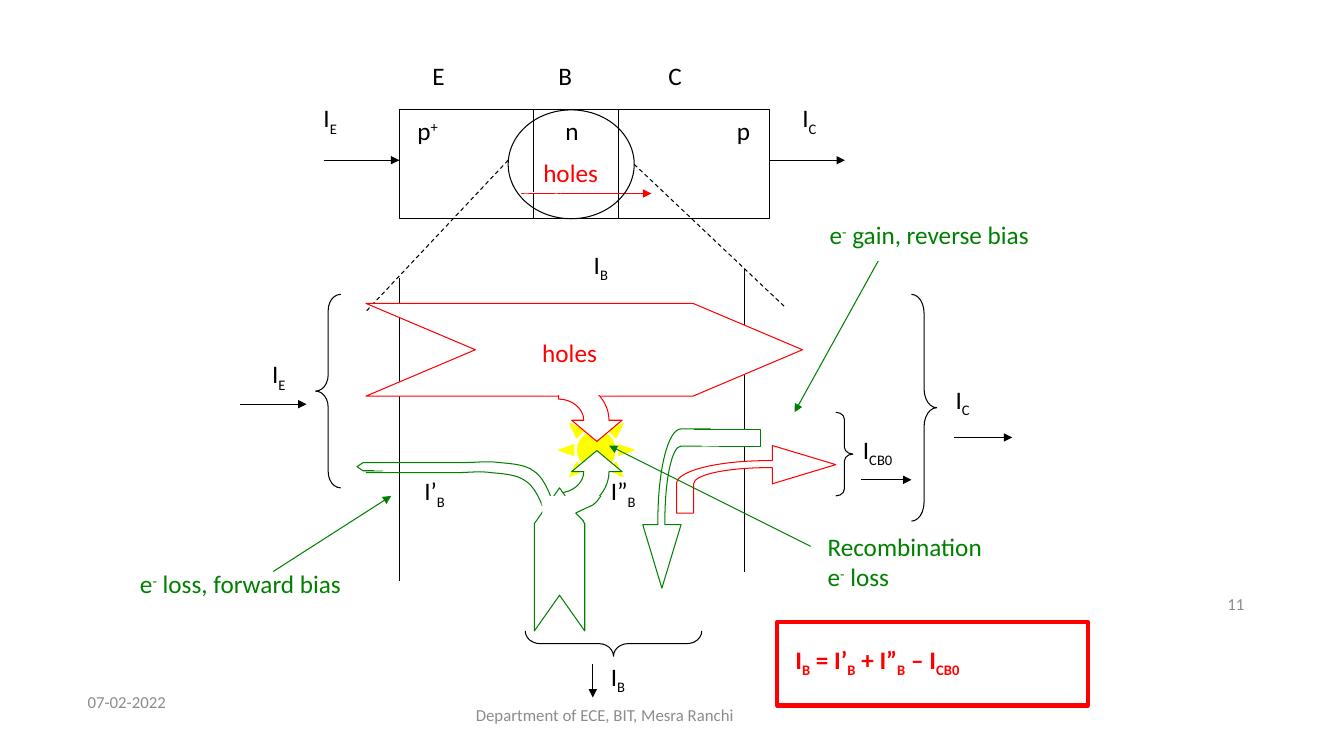
from dataclasses import dataclass

from pptx import Presentation
from pptx import util as u
from pptx.dml.color import RGBColor
from pptx.enum import dml, shapes, text
from pptx.oxml.ns import qn
from lxml import etree

PX = 9144  # EMU in one px, 100 px to the inch
BLACK, WHITE, RED, GREEN = "000000", "FFFFFF", "FF0000", "008000"
YELLOW, GREY = "FFFF00", "8C8C8C"
KIND = shapes.MSO_SHAPE
BASELINES = {"_": "-25000", "^": "30000"}


def color(code):
    return RGBColor.from_string(code)


def paint(shape, fill, line, weight=0.75):
    shape.shadow.inherit = False
    if fill:
        shape.fill.solid()
        shape.fill.fore_color.rgb = color(fill)
    else:
        shape.fill.background()
    if line:
        shape.line.color.rgb = color(line)
        shape.line.width = u.Pt(weight)
    else:
        shape.line.fill.background()


@dataclass
class Box:
    """A region of the page; parts are placed relative to its corner."""
    page: object
    left: int
    top: int

    def shape(self, kind, x, y, width, height, fill=None, line=None, adjust=None, turn=0, weight=0.75):
        part = self.page.shapes.add_shape(
            kind, (self.left + x) * PX, (self.top + y) * PX, width * PX, height * PX)
        paint(part, fill, line, weight)
        if adjust is not None:
            part.adjustments[0] = adjust
        part.rotation = turn

    def line(self, start, end, line=BLACK, arrow=False, dash=False, weight=0.75):
        ends = [(self.left + x, self.top + y) for x, y in (start, end)]
        part = self.page.shapes.add_connector(
            shapes.MSO_CONNECTOR.STRAIGHT, *(value * PX for point in ends for value in point))
        part.line.color.rgb = color(line)
        part.line.width = u.Pt(weight)
        if dash:
            part.line.dash_style = dml.MSO_LINE.DASH
        if arrow:
            etree.SubElement(part.line._get_or_add_ln(), qn("a:tailEnd"), type="triangle")
        etree.SubElement(part._element.spPr, qn("a:effectLst"))

    def outline(self, frame, steps, fill=None, line=BLACK, dash=False, turn=0):
        """Steps count from the frame corner: a point (2 numbers) or a cubic curve (6 numbers)."""
        x, y, width, height = frame
        left, top = (self.left + x) * PX, (self.top + y) * PX
        right, bottom = left + width * PX, top + height * PX
        builder = self.page.shapes.build_freeform(left, top)
        builder.add_line_segments([(right, top), (right, bottom)], close=False)
        part = builder.convert_to_shape()
        path = next(part._element.iter(qn("a:path")))
        for child in list(path):
            path.remove(child)
        for number, step in enumerate(steps):
            tag = "a:cubicBezTo" if len(step) == 6 else "a:lnTo" if number else "a:moveTo"
            segment = etree.SubElement(path, qn(tag))
            for px, py in zip(step[::2], step[1::2]):
                etree.SubElement(segment, qn("a:pt"), x=str(px * PX), y=str(py * PX))
        if fill:
            etree.SubElement(path, qn("a:close"))
        paint(part, fill, line)
        part.rotation = turn
        if dash:
            part.line.dash_style = dml.MSO_LINE.DASH

    def label(self, x, y, width, *lines, height=50, ink=BLACK, size=18, bold=False,
              align=text.PP_ALIGN.LEFT, anchor=text.MSO_ANCHOR.TOP):
        """Spans are split at |; a leading _ lowers a span and ^ raises it."""
        frame = self.page.shapes.add_textbox(
            (self.left + x) * PX, (self.top + y) * PX, width * PX, height * PX).text_frame
        frame.word_wrap = True
        frame.vertical_anchor = anchor
        for number, content in enumerate(lines):
            para = frame.add_paragraph() if number else frame.paragraphs[0]
            para.alignment = align
            for piece in content.split("|"):
                span = para.add_run()
                span.text = piece.lstrip("_^")
                span.font.name = "Calibri"
                span.font.size = u.Pt(size)
                span.font.bold = bold
                span.font.color.rgb = color(ink)
                if piece[0] in BASELINES:
                    span._r.get_or_add_rPr().set("baseline", BASELINES[piece[0]])


def footer(box):
    style = dict(height=40, ink=GREY, size=12, anchor=text.MSO_ANCHOR.MIDDLE)
    box.label(0, 97, 300, "07-02-2022", **style)
    box.label(298, 110, 450, "Department of ECE, BIT, Mesra Ranchi", align=text.PP_ALIGN.CENTER, **style)
    box.label(867, 0, 300, "11", align=text.PP_ALIGN.RIGHT, **style)


def transistor(box):
    box.shape(KIND.RECTANGLE, 0, 0, 367, 108, WHITE, BLACK)
    for junction in (133, 217):
        box.line((junction, 0), (junction, 108))
    for x, name in ((23, "E"), (148, "B"), (257, "C")):
        box.label(x, -54, 42, name)
    for x, doping in ((8, "p|^+"), (155, "n"), (325, "p")):
        box.label(x, 0, 49 if "|" in doping else 37, doping)
    for x, label_x, name in ((-75, -85, "I|_E"), (367, 390, "I|_C")):
        box.line((x, 50), (x + 75, 50), arrow=True)
        box.label(label_x, -12, 46, name)


def hole_path(box):
    box.line((0, 0), (133, 0), RED, arrow=True)
    box.outline((0, -3, 61, 86),
                [(0, 3), (16, 2, 32, 0, 41, 3), (51, 6, 55, 13, 58, 20),
                 (61, 27, 58, 34, 58, 45), (58, 56, 58, 71, 58, 86)], line=WHITE, dash=True)
    box.line((58, 67), (58, 92), WHITE, arrow=True, dash=True)
    box.label(16, -41, 90, "holes", ink=RED)


def base_zoom(box):
    box.label(216, 133, 46, "I|_B")
    box.shape(KIND.OVAL, 141, 0, 125, 108, line=BLACK)
    box.line((141, 50), (0, 200), dash=True)
    box.line((266, 54), (416, 196), dash=True)
    for x, y in ((33, 167), (375, 158)):
        box.line((x, y), (x, y + 300))


def hole_beam(box):
    box.shape(KIND.CHEVRON, 0, 0, 433, 92, WHITE, RED, adjust=1.18)
    box.label(165, 29, 90, "holes", ink=RED)


def total_current(box, kind, width, height, name, label_box, start, end, turn=0):
    box.shape(kind, 0, 0, width, height, line=BLACK, adjust=height / width / 12, turn=turn)
    box.label(*label_box, name)
    box.line(start, end, arrow=True)


def leakage(box):
    bent_arrow = [(158, 19), (95, 0), (95, 15), (91, 15), (41, 15, 0, 25, 0, 38), (0, 67), (17, 67),
                  (17, 38), (17, 29, 50, 22, 91, 22), (95, 22), (95, 38)]
    box.outline((33, 33, 158, 67), bent_arrow, WHITE, RED)
    # The electron arrow is the hole arrow mirrored and turned
    mirrored = [tuple(value if i % 2 else 158 - value for i, value in enumerate(step))
                for step in bent_arrow]
    box.outline((-46, 62, 158, 67), mirrored, WHITE, GREEN, turn=270)
    box.shape(KIND.RECTANGLE, 66, 17, 50, 17, WHITE, GREEN)
    box.shape(KIND.RECTANGLE, 58, 17, 17, 17, WHITE)
    box.line((83, 17), (50, 17), GREEN)


def injection(box):
    edge = [(175, 35), (171, 25, 166, 15, 158, 10), (150, 4, 137, 3, 125, 2),
            (112, 0, 104, 2, 83, 2), (62, 2, 31, 2, 0, 2)]
    box.outline((9, 10, 175, 35), edge, line=GREEN)
    box.line((184, 44), (192, 35), WHITE, weight=2.25)
    box.shape(KIND.CHEVRON, 0, 2, 25, 8, WHITE, GREEN, adjust=0.75, turn=180)
    box.shape(KIND.RECTANGLE, 17, 2, 8, 8, WHITE)
    box.outline((17, 0, 175, 35), edge, line=GREEN)
    box.label(57, 10, 57, "I’|_B")


def recombination(box):
    hook = [(75, 41), (75, 30, 64, 20, 50, 20), (50, 0), (78, 0, 100, 18, 100, 41),
            (113, 41), (88, 62), (63, 41)]
    mirrored = [tuple(83 - value if i % 2 else value for i, value in enumerate(step)) for step in hook]
    box.shape(KIND.SUN, 16, 33, 75, 75, YELLOW, YELLOW, adjust=0.25)
    box.outline((-34, 0, 100, 83), hook, WHITE, RED)
    box.shape(KIND.RECTANGLE, 0, -9, 75, 25, WHITE)
    box.outline((-34, 50, 100, 83), mirrored, WHITE, GREEN)
    box.label(58, 91, 61, "I”|_B")


def equation(box):
    box.label(8, 17, 291, "I|_B| = I’|_B| + I”|_B| – I|_CB0", ink=RED, bold=True)
    box.shape(KIND.RECTANGLE, 0, 0, 308, 83, line=RED, weight=3)


def note(box, width, start, end, *lines):
    box.line(start, end, GREEN, arrow=True)
    box.label(0, 0, width, *lines, height=10 + 40 * len(lines), ink=GREEN)


def base_stem(box):
    box.shape(KIND.CHEVRON, 0, 38, 142, 50, WHITE, GREEN, adjust=0.71, turn=270)
    box.shape(KIND.RECTANGLE, 54, 0, 67, 25, WHITE)
    box.outline((87, 0, 25, 17), [(25, 0), (23, 3, 21, 6, 17, 9), (13, 11, 6, 14, 0, 17)], line=GREEN)
    box.line((87, 17), (95, 25), GREEN)


def main():
    deck = Presentation()
    deck.slide_width, deck.slide_height = 1333 * PX, 750 * PX
    page = deck.slides.add_slide(deck.slide_layouts[6])
    left, right = KIND.LEFT_BRACE, KIND.RIGHT_BRACE
    footer(Box(page, 77, 579))
    transistor(Box(page, 396, 109))
    hole_path(Box(page, 513, 192))
    base_zoom(Box(page, 363, 109))
    hole_beam(Box(page, 363, 301))
    total_current(Box(page, 313, 292), left, 25, 192, "I|_E", (-53, 59, 45), (-75, 109), (-9, 109))
    total_current(Box(page, 904, 292), right, 25, 225, "I|_C", (34, 84, 46), (42, 142), (100, 142))
    leakage(Box(page, 638, 409))
    total_current(Box(page, 829, 409), right, 17, 83, "I|_CB0", (17, 17, 75), (25, 67), (75, 67))
    total_current(Box(page, 596, 551), left, 25, 175, "I|_B", (0, 100, 46), (-8, 108), (-8, 141), 270)
    injection(Box(page, 354, 457))
    recombination(Box(page, 538, 376))
    equation(Box(page, 771, 617))
    note(Box(page, 129, 559), 287, (142, 8), (259, -67), "e|^-| loss, forward bias")
    note(Box(page, 813, 213), 283, (58, 46), (-25, 196), "e|^-| gain, reverse bias")
    note(Box(page, 811, 522), 223, (-7, 20), (-207, -80), "Recombination", "e|^-| loss")
    base_stem(Box(page, 484, 492))
    deck.save("out.pptx")


if __name__ == "__main__":
    main()
